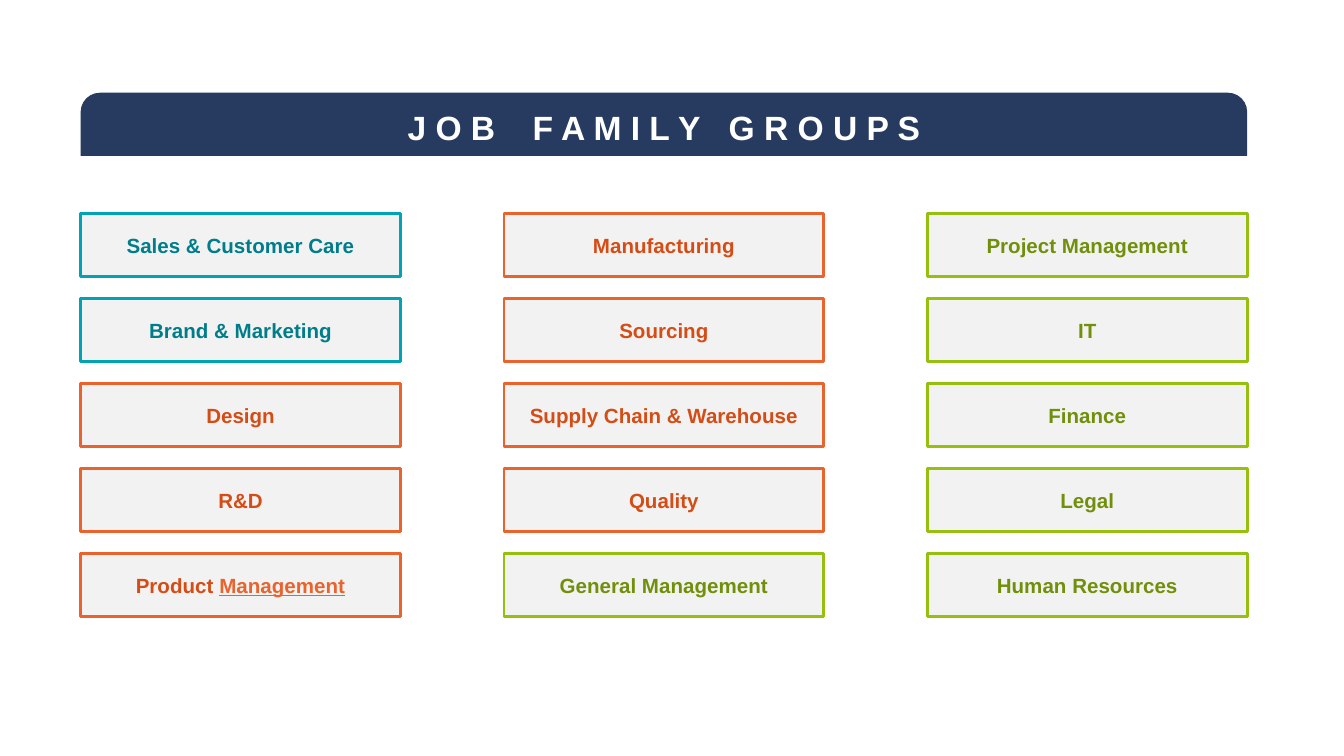
from pptx import Presentation
from pptx.dml.color import RGBColor
from pptx.enum.shapes import MSO_SHAPE
from pptx.enum.text import MSO_ANCHOR, PP_ALIGN
from pptx.util import Inches, Pt

RECT = MSO_SHAPE.RECTANGLE
ROUND_TOP = MSO_SHAPE.ROUND_2_SAME_RECTANGLE
MIDDLE = MSO_ANCHOR.MIDDLE
CENTER = PP_ALIGN.CENTER

NAVY, WHITE, GREY = "273A60", "FFFFFF", "F2F2F2"
# (border, text) colours of each job family
TEAL = ("00A3B4", "007D8A")
ORANGE = ("EA632D", "D54C15")
GREEN = ("97BF0D", "718F0A")

COLUMNS = [
    [("Sales & Customer Care", TEAL), ("Brand & Marketing", TEAL),
     ("Design", ORANGE), ("R&D", ORANGE), ("Product ", ORANGE)],
    [("Manufacturing", ORANGE), ("Sourcing", ORANGE),
     ("Supply Chain & Warehouse", ORANGE), ("Quality", ORANGE),
     ("General Management", GREEN)],
    [("Project Management", GREEN), ("IT", GREEN), ("Finance", GREEN),
     ("Legal", GREEN), ("Human Resources", GREEN)],
]
# Underlined second run, by first run
UNDERLINED = {"Product ": "Management"}


def rgb(color):
    return RGBColor.from_string(color)


def add_box(s, kind, left, top, width, height, fill, border=None):
    """Add a filled box and return it with its centred paragraph."""
    sp = s.shapes.add_shape(kind, Inches(left), Inches(top),
                            Inches(width), Inches(height))
    sp.shadow.inherit = False
    sp.fill.solid()
    sp.fill.fore_color.rgb = rgb(fill)
    if border:
        sp.line.color.rgb = rgb(border)
        sp.line.width = Pt(1.5)
    else:
        sp.line.fill.background()
    tf = sp.text_frame
    tf.word_wrap = True
    tf.vertical_anchor = MIDDLE
    p = tf.paragraphs[0]
    p.alignment = CENTER
    return sp, p


def add_run(p, text, size, color, underline=None):
    r = p.add_run()
    r.text = text
    r.font.name = "Arial"
    r.font.size = Pt(size)
    r.font.bold = True
    r.font.underline = underline
    r.font.color.rgb = rgb(color)
    return r


def add_header(s, left, top, width, height):
    sp, p = add_box(s, ROUND_TOP, left, top, width, height, NAVY)
    sp.adjustments[0] = 0.305
    sp.adjustments[1] = 0
    tf = sp.text_frame
    tf.margin_left = tf.margin_right = Inches(0.07)
    tf.margin_top = tf.margin_bottom = Inches(0.04)
    # Character spacing, in hundredths of a point, widens the word gaps
    for text, spacing in [("J O B", 0), (" ", 1500), ("F A M I L Y", 0),
                          (" ", 1000), ("G R O U P S", 0)]:
        r = add_run(p, text, 18, WHITE)
        if spacing:
            r.font._element.set("spc", str(spacing))


def add_groups(s, left, top, width, height):
    box_w, box_h = 2.38, 0.47
    col_step = (width - box_w) / (len(COLUMNS) - 1)
    row_step = (height - box_h) / (len(COLUMNS[0]) - 1)
    for col, groups in enumerate(COLUMNS):
        for row, (name, (border, color)) in enumerate(groups):
            sp, p = add_box(s, RECT, left + col * col_step,
                            top + row * row_step, box_w, box_h, GREY, border)
            p.space_after = Pt(1.6)
            add_run(p, name, 11, color)
            if name in UNDERLINED:
                add_run(p, UNDERLINED[name], 11, border, underline=True)


def main():
    prs = Presentation()
    # 16:9 slide
    prs.slide_width, prs.slide_height = Inches(10), Inches(10 * 9 / 16)
    s = prs.slides.add_slide(prs.slide_layouts[6])
    # Title bar
    add_header(s, 0.6, 0.69, 8.68, 0.47)
    # Grid of job family groups
    add_groups(s, 0.6, 1.59, 8.68, 3)
    prs.save("out.pptx")


if __name__ == "__main__":
    main()
